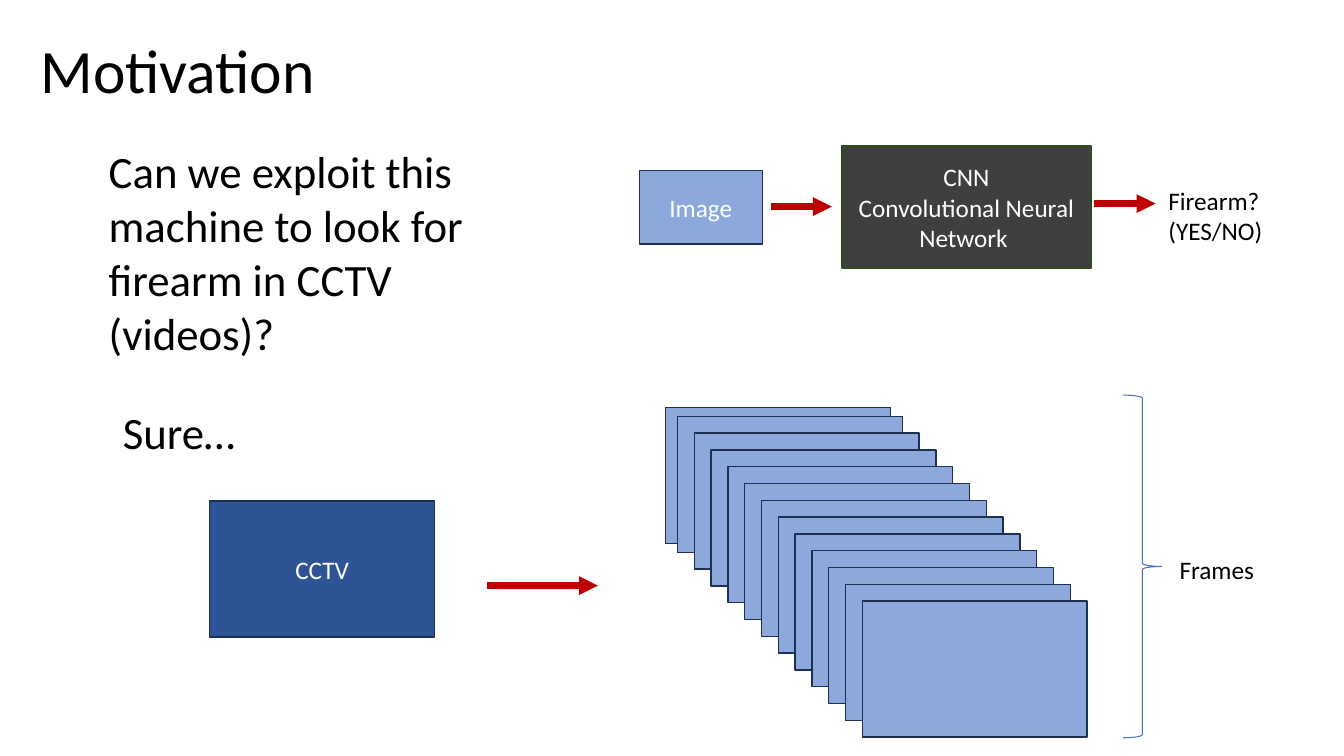
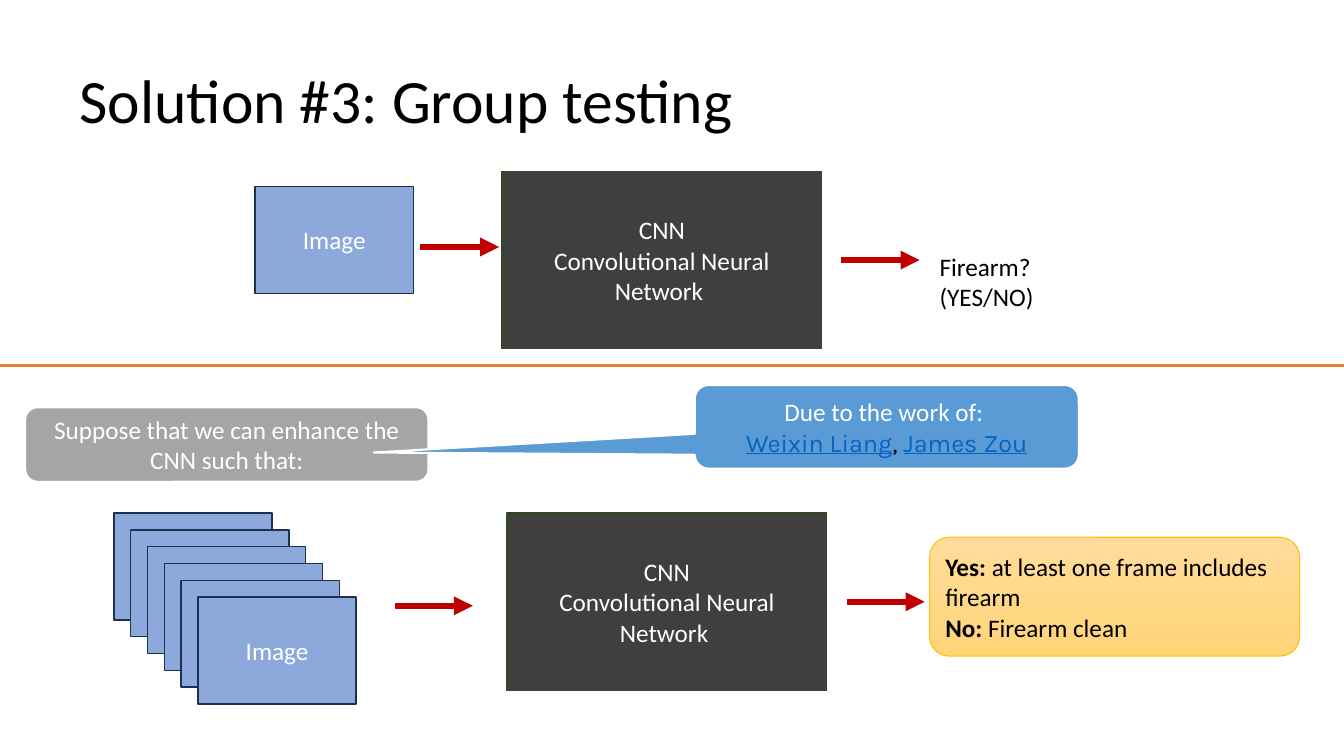
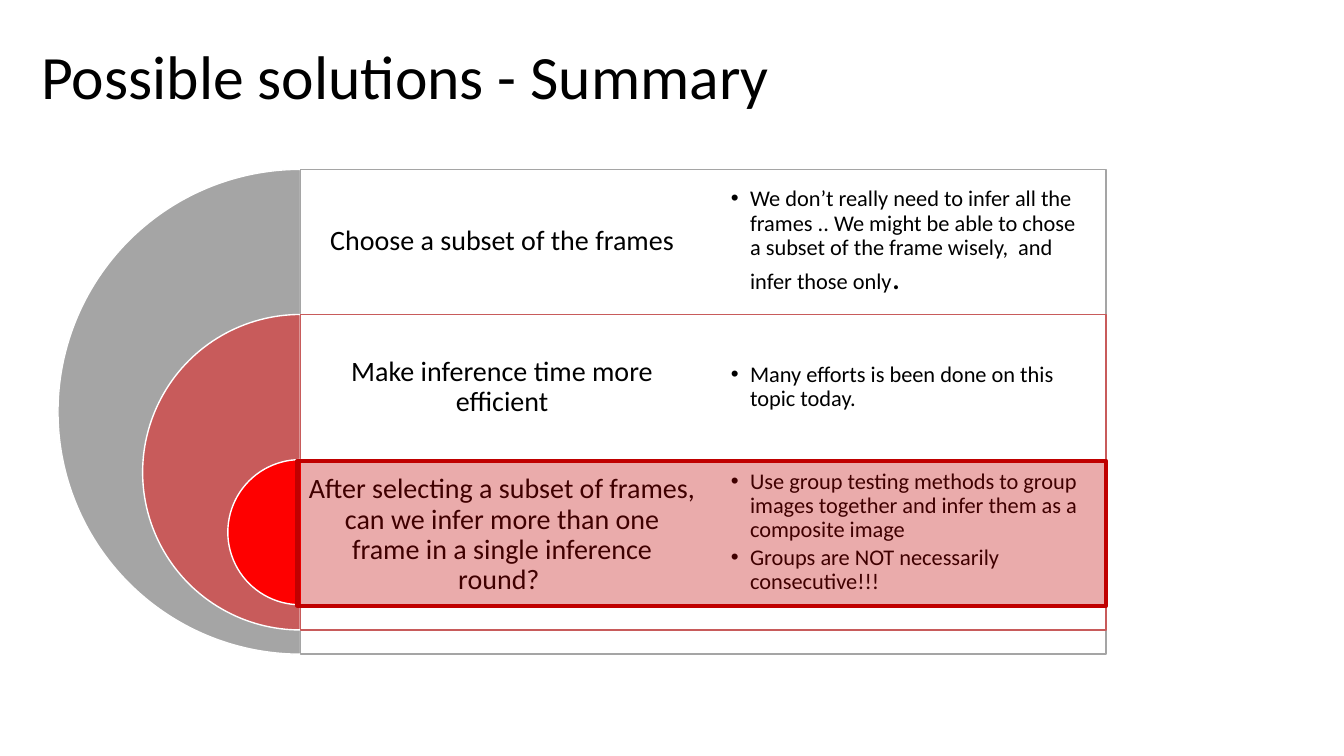
from lxml import etree
from pptx import Presentation
from pptx.dml.color import RGBColor
from pptx.enum.shapes import MSO_CONNECTOR, MSO_SHAPE
from pptx.enum.text import MSO_ANCHOR, MSO_AUTO_SIZE, PP_ALIGN
from pptx.oxml.ns import qn
from pptx.util import Inches, Pt

RECT, ROUNDED = MSO_SHAPE.RECTANGLE, MSO_SHAPE.ROUNDED_RECTANGLE
PIE, BRACE = MSO_SHAPE.PIE, MSO_SHAPE.RIGHT_BRACE
CALLOUT = MSO_SHAPE.ROUNDED_RECTANGULAR_CALLOUT
STRAIGHT = MSO_CONNECTOR.STRAIGHT
LEFT, CENTER = PP_ALIGN.LEFT, PP_ALIGN.CENTER
TOP, MIDDLE = MSO_ANCHOR.TOP, MSO_ANCHOR.MIDDLE
NO_AUTOSIZE = MSO_AUTO_SIZE.NONE

# Shared look
FONT = "Calibri"
BLACK, WHITE, RED, LINK = "000000", "FFFFFF", "C00000", "0563C1"
FRAME_LOOK = {"fill": "8DA9DB", "line": "1C3052"}
CCTV_LOOK = {"fill": "2F5496", "line": "1C3052"}
CNN_LOOK = {"fill": "3F3F3F", "line": "2F491D"}
STACK_STEP = 1 / 6

# Content: a paragraph is a string or a list of (text, font format) runs
CNN = ["CNN", "Convolutional Neural Network "]
FIREARM = ["Firearm? (YES/NO)"]
MOTIVATION = {
    "title": ("Motivation", 0.3, 0),
    "notes": [
        ("Can we exploit this machine to look for firearm in CCTV (videos)?",
         (0.98, 1.38, 4.57, 2.26), 32),
        ("Sure…", (1.12, 3.97, 4.57, 0.64), 32),
        ("Frames", (11.6, 5.45, 0.95, 0.4), 18),
    ],
    "pipeline": {"image": (6.34, 1.69, 1.22, 0.73), "cnn": (8.35, 1.45, 2.47, 1.21),
                 "answer": (11.49, 1.79, 1.16, 0.7),
                 "arrows": [(7.65, 2.05, 0.6), (10.85, 2.02, 0.61)]},
}
GROUP_TESTING = {
    "title": ("Solution #3: Group testing", 0.69, 0.3),
    "pipeline": {"image": (2.53, 1.85, 1.57, 1.06), "cnn": (4.98, 1.7, 3.17, 1.76),
                 "answer": (9.22, 2.44, 1.49, 0.7),
                 "arrows": [(4.17, 2.45, 0.78), (8.34, 2.58, 0.78)]},
    "arrows": [(3.92, 6.01, 0.77), (8.4, 5.97, 0.77)],
    "verdict": [
        [("Yes: ", {"bold": True}), ("at least one frame includes firearm", {})],
        [("No: ", {"bold": True}), ("Firearm clean", {})],
    ],
    "premise": ["Suppose that we can enhance the CNN such that:"],
    "credit": [
        "Due to the work of: ",
        [("Weixin Liang", {"name": "Karla", "color": LINK, "underline": True}),
         (", ", {"name": "Karla", "color": BLACK}),
         ("James Zou", {"name": "Karla", "color": LINK, "underline": True})],
    ],
}
SUMMARY = {
    "title": ("Possible solutions - Summary", 0.31, 0.06),
    # heading, bullets, colour, diameter, panel shift
    "rows": [
        ("Choose a subset of the frames",
         [[("We don’t really need to infer all the frames .. We might be able to chose "
            "a subset of the frame wisely,  and infer those only", {}),
           (".", {"size": Pt(24)})]],
         "A5A5A5", 4.81, 0),
        ("Make inference time more efficient",
         ["Many efforts is been done on this topic today."],
         "C85B5B", 3.13, 0),
        ("After selecting a subset of frames, can we infer more than one frame "
         "in a single inference round? ",
         ["Use group testing methods to group images together and infer them "
          "as a composite image",
          "Groups are NOT necessarily consecutive!!!"],
         "FE0000", 1.44, 0.03),
    ],
}


def rgb(value):
    return RGBColor.from_string(value)


def inches(values):
    return [Inches(value) for value in values]


def write(frame, paragraphs, size=18, color=BLACK, align=LEFT, anchor=TOP,
          inset=(0.1, 0.05), spacing=None):
    across, down = inches(inset)
    layout = {"word_wrap": True, "auto_size": NO_AUTOSIZE, "vertical_anchor": anchor,
              "margin_left": across, "margin_right": across,
              "margin_top": down, "margin_bottom": down}
    for key, value in layout.items():
        setattr(frame, key, value)
    for index, runs in enumerate(paragraphs):
        paragraph = frame.add_paragraph() if index else frame.paragraphs[0]
        paragraph.alignment = align
        if spacing:
            paragraph.line_spacing = spacing
        for text, changes in [(runs, {})] if isinstance(runs, str) else runs:
            run = paragraph.add_run()
            run.text = text
            look = {"name": FONT, "size": Pt(size), "color": color, **changes}
            run.font.color.rgb = rgb(look.pop("color"))
            for key, value in look.items():
                setattr(run.font, key, value)


def add_text(slide, box, paragraphs, **style):
    frame = slide.shapes.add_textbox(*inches(box)).text_frame
    write(frame, paragraphs, **style)
    return frame


def add_box(slide, kind, box, fill=None, line=WHITE, width=1, alpha=None,
            adjust=(), text=(), **style):
    shape = slide.shapes.add_shape(kind, *inches(box))
    shape.shadow.inherit = False
    for index, value in enumerate(adjust):
        shape.adjustments[index] = value
    if fill:
        shape.fill.solid()
        shape.fill.fore_color.rgb = rgb(fill)
    else:
        shape.fill.background()
    if alpha:
        solid = shape.element.spPr.find(qn("a:solidFill"))
        etree.SubElement(solid[0], qn("a:alpha"), val=str(alpha * 1000))
    shape.line.color.rgb = rgb(line)
    shape.line.width = Pt(width)
    if text:
        write(shape.text_frame, text,
              **{"color": WHITE, "align": CENTER, "anchor": MIDDLE, **style})
    return shape


def add_line(slide, left, top, length, color=RED, width=4.5, arrow=True):
    line = slide.shapes.add_connector(STRAIGHT, *inches((left, top, left + length, top)))
    line.line.color.rgb = rgb(color)
    line.line.width = Pt(width)
    properties = line.element.spPr
    if arrow:
        etree.SubElement(properties.find(qn("a:ln")), qn("a:tailEnd"), type="triangle")
    etree.SubElement(properties, qn("a:effectLst"))


def add_bullets(frame):
    for index, paragraph in enumerate(frame.paragraphs):
        if index:
            paragraph.space_before = Pt(2.4)
        properties = paragraph._p.get_or_add_pPr()
        properties.set("marL", str(Inches(0.19)))
        properties.set("indent", str(Inches(-0.19)))
        etree.SubElement(properties, qn("a:buFont"), typeface="Arial")
        etree.SubElement(properties, qn("a:buChar"), char="•")


def add_slide(deck, title, left, top):
    slide = deck.slides.add_slide(deck.slide_layouts[5])
    heading = slide.shapes.title
    place = dict(zip(("left", "top", "width", "height"), inches((left, top, 11.5, 1.45))))
    for key, value in place.items():
        setattr(heading, key, value)
    write(heading.text_frame, [title], size=44, anchor=MIDDLE, spacing=0.9)
    return slide


def add_pipeline(slide, image, cnn, answer, arrows):
    add_text(slide, answer, FIREARM)
    add_box(slide, RECT, cnn, text=CNN, **CNN_LOOK)
    add_box(slide, RECT, image, text=["Image"], **FRAME_LOOK)
    for arrow in arrows:
        add_line(slide, *arrow)


def add_stack(slide, left, top, size, count, label=()):
    for index in range(count):
        shift = index * STACK_STEP
        add_box(slide, RECT, (left + shift, top + shift, *size),
                text=label if index == count - 1 else (), **FRAME_LOOK)


def build_motivation(deck):
    slide = add_slide(deck, *MOTIVATION["title"])
    add_pipeline(slide, **MOTIVATION["pipeline"])
    for text, box, size in MOTIVATION["notes"]:
        add_text(slide, box, [text], size=size)
    # Video split into frames
    frame_size = (2.23, 1.35)
    add_box(slide, RECT, (2.08, 4.97, *frame_size), text=["CCTV"], **CCTV_LOOK)
    add_line(slide, 4.83, 5.81, 1.1)
    add_stack(slide, 6.6, 4.04, frame_size, 1)
    add_stack(slide, 6.72, 4.13, frame_size, 12)
    add_box(slide, BRACE, (11.14, 3.92, 0.38, 3.4), line="4472C4", width=0.75,
            adjust=(0.083, 0.5))


def build_group_testing(deck):
    slide = add_slide(deck, *GROUP_TESTING["title"])
    add_pipeline(slide, **GROUP_TESTING["pipeline"])
    # Grouped frames
    for arrow in GROUP_TESTING["arrows"]:
        add_line(slide, *arrow)
    add_box(slide, RECT, (5.03, 5.09, 3.17, 1.76), text=CNN, **CNN_LOOK)
    add_stack(slide, 1.13, 5.09, (1.57, 1.06), 6, ["Image"])
    verdict = add_box(slide, ROUNDED, (9.22, 5.33, 3.67, 1.18), line="FFC000", width=0.75,
                      text=GROUP_TESTING["verdict"], color=BLACK, align=LEFT)
    verdict.fill.gradient()
    verdict.fill.gradient_angle = 270
    for stop, color in zip(verdict.fill.gradient_stops, ("FFDC9B", "FFD478")):
        stop.color.rgb = rgb(color)
    # Divider and remarks
    add_line(slide, 0, 3.63, 13.33, "ED7D31", 2.25, arrow=False)
    add_box(slide, ROUNDED, (0.25, 4.04, 4, 0.74), "A5A5A5", width=1.5,
            text=GROUP_TESTING["premise"])
    add_box(slide, CALLOUT, (6.89, 3.82, 3.81, 0.83), "5B9BD5", width=1.5,
            adjust=(-1.336, 0.307, 0.167), text=GROUP_TESTING["credit"])


def build_summary(deck):
    slide = add_slide(deck, *SUMMARY["title"])
    axis, first_top, row_height, column = 2.98, 1.68, 1.44, 4
    for index, (heading, bullets, color, diameter, shift) in enumerate(SUMMARY["rows"]):
        top = first_top + index * row_height
        add_box(slide, PIE, (axis - diameter / 2, top, diameter, diameter), color,
                adjust=(54, 162))
        add_box(slide, RECT, (axis, top + shift, 7.99, diameter), WHITE, color, alpha=90)
        add_text(slide, (axis, top + shift, column, row_height), [heading], size=20,
                 align=CENTER, anchor=MIDDLE, inset=(0.08, 0.08), spacing=0.9)
        add_bullets(add_text(slide, (axis + column, top, column, row_height), bullets,
                             size=16, anchor=MIDDLE, inset=(0.27, 0.27), spacing=0.9))
    # Highlight on the last row
    add_box(slide, ROUNDED, (2.95, 4.57, 8.02, row_height), RED, RED, 3, alpha=33,
            adjust=(0,))


def main():
    deck = Presentation()
    deck.slide_width, deck.slide_height = inches((13.33, 7.5))
    for build in (build_motivation, build_group_testing, build_summary):
        build(deck)
    deck.save("out.pptx")


if __name__ == "__main__":
    main()
